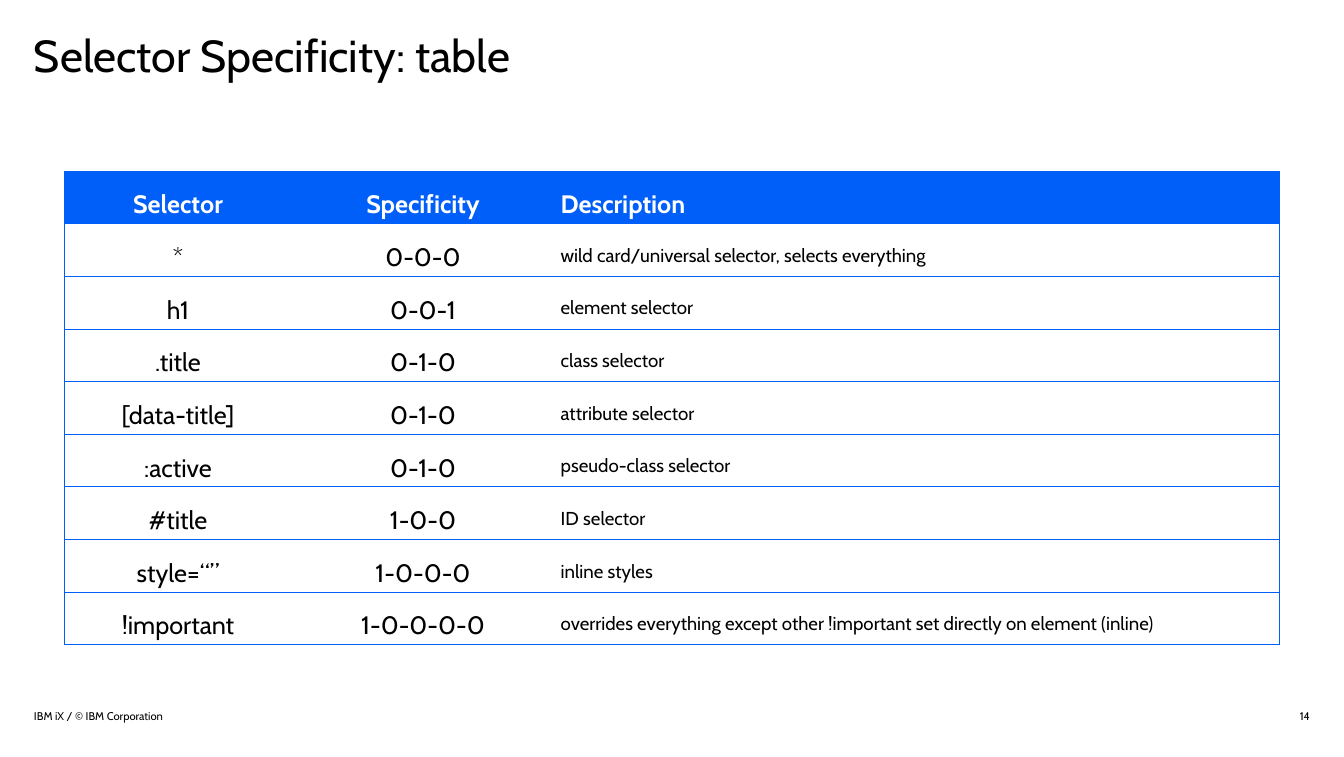
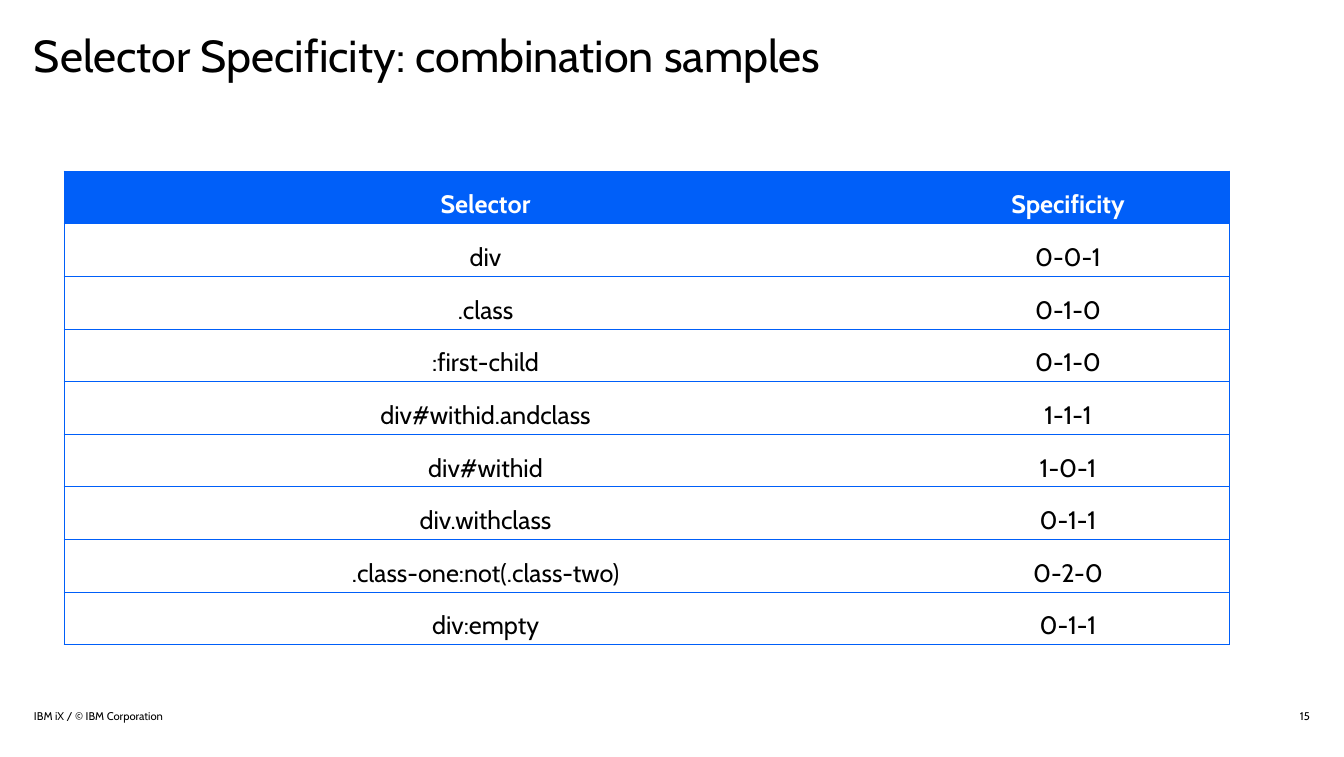
"""Builds two slides that explain CSS selector specificity."""
from lxml import etree
from pptx import Presentation
from pptx.dml.color import RGBColor
from pptx.enum.text import MSO_ANCHOR, MSO_AUTO_SIZE, PP_ALIGN
from pptx.oxml.ns import qn
from pptx.util import Pt

LEFT, CENTER, RIGHT = PP_ALIGN.LEFT, PP_ALIGN.CENTER, PP_ALIGN.RIGHT
TOP, MIDDLE = MSO_ANCHOR.TOP, MSO_ANCHOR.MIDDLE
NO_AUTOFIT = MSO_AUTO_SIZE.NONE

EMU_PER_PX = 13607
SLIDE_WIDTH, SLIDE_HEIGHT = 1344, 757
MARGIN = 34
FOOTER_TOP, FOOTER_HEIGHT = 704, 24
TABLE_LEFT, TABLE_TOP, TABLE_HEIGHT = 64, 171, 446
TITLE_ONLY = 5
PLAIN_TABLE_STYLE = "{2D5ABB26-0587-4C30-8999-92F81FD0307C}"
COLORS = {"blue": "005FF9", "white": "FFFFFF", "black": "000000"}
FONT = "Cabin"
FOOTER = "IBM iX / © IBM Corporation"

SELECTOR_ROWS = [
    ("Selector", "Specificity", "Description"),
    ("*", "0-0-0", "wild card/universal selector, selects everything"),
    ("h1", "0-0-1", "element selector"),
    (".title", "0-1-0", "class selector"),
    ("[data-title]", "0-1-0", "attribute selector"),
    (":active", "0-1-0", "pseudo-class selector"),
    ("#title", "1-0-0", "ID selector"),
    ("style=“”", "1-0-0-0", "inline styles"),
    ("!important", "1-0-0-0-0",
     "overrides everything except other !important set directly on element (inline)"),
]
COMBINATION_ROWS = [
    ("Selector", "Specificity"),
    ("div", "0-0-1"),
    (".class", "0-1-0"),
    (":first-child", "0-1-0"),
    ("div#withid.andclass", "1-1-1"),
    ("div#withid", "1-0-1"),
    ("div.withclass", "0-1-1"),
    (".class-one:not(.class-two)", "0-2-0"),
    ("div:empty", "0-1-1"),
]


def px(*lengths):
    """Turn pixel lengths into EMU."""
    return [length * EMU_PER_PX for length in lengths]


def set_values(target, values):
    """Set each attribute named in a dict of format values."""
    for name, value in values.items():
        setattr(target, name, value)


class Deck:
    """Holds the shared style and the current slide."""

    def __init__(self):
        """Start an empty presentation of the right size."""
        self.presentation = Presentation()
        width, height = px(SLIDE_WIDTH, SLIDE_HEIGHT)
        set_values(self.presentation, {"slide_width": width, "slide_height": height})
        self.slide = None

    def add_slide(self, title, title_width, number):
        """Add a slide with its title, footer and number."""
        layout = self.presentation.slide_layouts[TITLE_ONLY]
        self.slide = self.presentation.slides.add_slide(layout)
        self.add_title(title, title_width)
        self.add_footer_text(FOOTER, MARGIN, 605, LEFT)
        self.add_footer_text(str(number), SLIDE_WIDTH - MARGIN - 269, 269, RIGHT)

    def add_text(self, frame, text, size, color="black", bold=False, align=LEFT, spacing=1.0):
        """Put one formatted paragraph into a text frame."""
        paragraph = frame.paragraphs[0]
        run = paragraph.add_run()
        run.text = text
        set_values(paragraph, {"alignment": align, "line_spacing": spacing})
        set_values(run.font, {"name": FONT, "size": Pt(size), "bold": bold})
        run.font.color.rgb = RGBColor.from_string(COLORS[color])

    def prepare_frame(self, frame, anchor):
        """Give a text frame no margins and a fixed size."""
        set_values(frame, {
            "margin_left": 0, "margin_right": 0, "margin_top": 0, "margin_bottom": 0,
            "word_wrap": True, "auto_size": NO_AUTOFIT, "vertical_anchor": anchor,
        })

    def add_title(self, text, width):
        """Place and format the title placeholder."""
        shape = self.slide.shapes.title
        box = px(MARGIN, MARGIN, width, 122)
        set_values(shape, dict(zip(("left", "top", "width", "height"), box)))
        self.prepare_frame(shape.text_frame, TOP)
        self.add_text(shape.text_frame, text, 48, spacing=0.9)

    def add_footer_text(self, text, left, width, align):
        """Add one text of the footer line."""
        box = px(left, FOOTER_TOP, width, FOOTER_HEIGHT)
        frame = self.slide.shapes.add_textbox(*box).text_frame
        self.prepare_frame(frame, MIDDLE)
        self.add_text(frame, text, 12, align=align)

    def add_table(self, rows, column_widths):
        """Add a ruled table with a filled header row."""
        box = px(TABLE_LEFT, TABLE_TOP, sum(column_widths), TABLE_HEIGHT)
        table = self.slide.shapes.add_table(len(rows), len(column_widths), *box).table
        table.horz_banding = False
        table._tbl.tblPr.find(qn("a:tableStyleId")).text = PLAIN_TABLE_STYLE
        for column, width in zip(table.columns, px(*column_widths)):
            column.width = width
        last_column = len(column_widths) - 1
        for row_index, row in enumerate(rows):
            for column_index, text in enumerate(row):
                cell = table.cell(row_index, column_index)
                sides = ["L"] * (column_index == 0) + ["R"] * (column_index == last_column)
                self.format_cell(cell, text, row_index == 0, column_index == 2)
                self.add_borders(cell, sides + ["T", "B"])

    def format_cell(self, cell, text, is_header, is_description):
        """Fill a cell and set its text."""
        cell.fill.solid()
        cell.fill.fore_color.rgb = RGBColor.from_string(COLORS["blue" if is_header else "white"])
        cell.vertical_anchor = TOP if is_header else MIDDLE
        self.add_text(cell.text_frame, text,
                      size=20 if is_description and not is_header else 27,
                      color="white" if is_header else "black", bold=is_header,
                      align=LEFT if is_description else CENTER, spacing=1.5)

    def add_borders(self, cell, sides):
        """Draw thin blue lines on the given sides of a cell."""
        properties = cell._tc.get_or_add_tcPr()
        for index, side in enumerate(sides):
            line = etree.Element(qn(f"a:ln{side}"), w=str(Pt(0.75)))
            fill = etree.SubElement(line, qn("a:solidFill"))
            etree.SubElement(fill, qn("a:srgbClr"), val=COLORS["blue"])
            properties.insert(index, line)


def main():
    """Build both slides and save them."""
    deck = Deck()
    deck.add_slide("Selector Specificity: table", 605, 14)
    deck.add_table(SELECTOR_ROWS, [228, 262, 725])
    deck.add_slide("Selector Specificity: combination samples", 960, 15)
    deck.add_table(COMBINATION_ROWS, [843, 322])
    deck.presentation.save("out.pptx")


if __name__ == "__main__":
    main()
